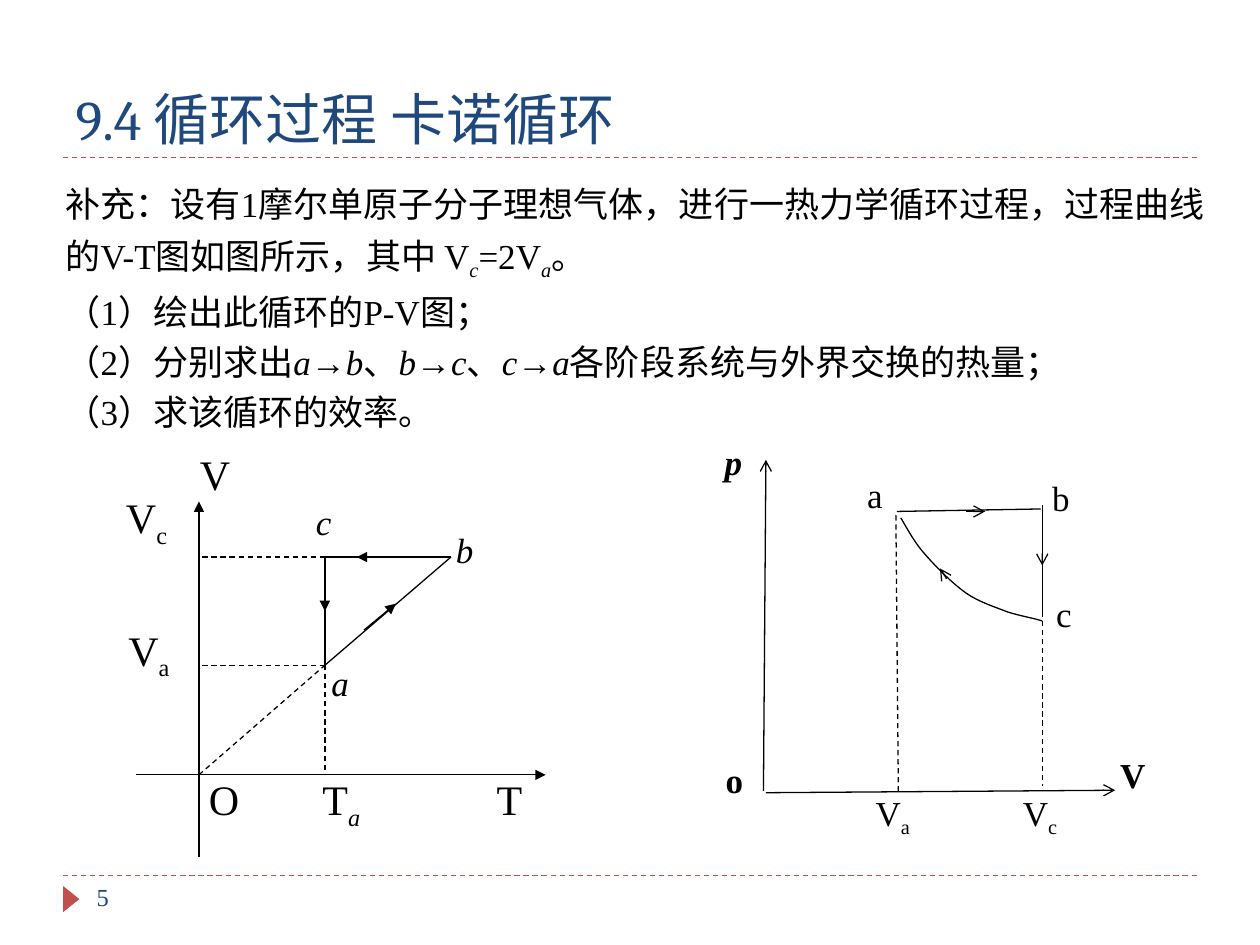
"""Build the slide on a thermodynamic cycle with its V-T and p-V diagrams."""
from typing import NamedTuple, Sequence

from lxml import etree
from pptx import Presentation
from pptx import util as u
from pptx.dml import color
from pptx.enum import dml, shapes, text
from pptx.oxml import ns

COLORS = {"ink": "000000", "accent": "C0504D", "heading": "1F497D"}
SERIF = "Times New Roman"
INSET = (0.25, 0.13)


class Span(NamedTuple):
    words: str
    italic: bool = False
    sub: bool = False


class Stroke(NamedTuple):
    start: tuple[float, float]
    end: tuple[float, float]
    arrow: str = ""
    dashed: bool = False
    tint: str = "ink"


class Label(NamedTuple):
    spans: Sequence[Span]
    left: float
    top: float
    width: float
    height: float
    bold: bool = False
    size: int = 20


def rgb(name: str) -> color.RGBColor:
    return color.RGBColor.from_string(COLORS[name])


def var(symbol: str, index: str = "", slanted: bool = False) -> list[Span]:
    return [Span(symbol), Span(index, slanted, True)] if index else [Span(symbol, slanted)]


def write(frame, lines, *, size=20, font=SERIF, tint="ink", bold=False, spacing=None, tabs=()):
    """Fill a text frame with one paragraph per list of spans."""
    for index, spans in enumerate(lines):
        paragraph = frame.paragraphs[0] if index == 0 else frame.add_paragraph()
        if tabs:
            stops = etree.SubElement(paragraph._p.get_or_add_pPr(), ns.qn("a:tabLst"))
            for stop in tabs:
                etree.SubElement(stops, ns.qn("a:tab"), pos=str(u.Cm(stop)), algn="l")
        paragraph.alignment = text.PP_ALIGN.LEFT
        if spacing:
            paragraph.line_spacing = spacing
        for span in spans:
            run = paragraph.add_run()
            run.text = span.words
            run.font.size = u.Pt(size)
            run.font.name = font
            run.font.bold = bold
            run.font.italic = span.italic
            run.font.color.rgb = rgb(tint)
            if span.sub:
                run.font._element.set("baseline", "-25000")


def text_box(slide, place: Sequence[float], lines, *, inset=INSET, **style):
    """Add a wrapped text box at a place given in centimetres."""
    frame = slide.shapes.add_textbox(*map(u.Cm, place)).text_frame
    frame.word_wrap = True
    frame.margin_left = frame.margin_right = u.Cm(inset[0])
    frame.margin_top = frame.margin_bottom = u.Cm(inset[1])
    write(frame, lines, **style)
    return frame


def draw_stroke(slide, stroke: Stroke) -> None:
    """Draw a straight line, dashed or with an arrowhead where asked."""
    connector = slide.shapes.add_connector(
        shapes.MSO_CONNECTOR.STRAIGHT, *map(u.Cm, stroke.start + stroke.end))
    connector.line.color.rgb = rgb(stroke.tint)
    connector.line.width = u.Pt(0.75)
    if stroke.dashed:
        connector.line.dash_style = dml.MSO_LINE.DASH
    properties = connector._element.spPr
    if stroke.arrow:
        etree.SubElement(properties.find(ns.qn("a:ln")), ns.qn("a:tailEnd"), type=stroke.arrow)
    etree.SubElement(properties, ns.qn("a:effectLst"))


def draw_labels(slide, labels: Sequence[Label], inset: tuple[float, float]) -> None:
    for label in labels:
        text_box(slide, label[1:5], [label.spans], inset=inset, size=label.size, bold=label.bold)


def draw_curve(slide, points: Sequence[tuple[float, float]], steps: int = 8) -> None:
    """Draw chained cubic curves as one open outline."""
    outline = []
    for first in range(0, len(points) - 1, 3):
        for step in range(1, steps + 1):
            t = step / steps
            weights = ((1 - t) ** 3, 3 * t * (1 - t) ** 2, 3 * t * t * (1 - t), t ** 3)
            outline.append(tuple(
                u.Cm(sum(w * p[axis] for w, p in zip(weights, points[first:first + 4])))
                for axis in (0, 1)))
    builder = slide.shapes.build_freeform(*map(u.Cm, points[0]))
    builder.add_line_segments(outline, close=False)
    curve = builder.convert_to_shape()
    curve.shadow.inherit = False
    curve.fill.background()
    curve.line.color.rgb = rgb("ink")
    curve.line.width = u.Pt(0.75)


def draw_frame(slide) -> None:
    """Place the heading, the two rules and the page mark."""
    for y in (17.65, 3.18):
        draw_stroke(slide, Stroke((1.27, y), (24.13, y), dashed=True, tint="accent"))
    marker = slide.shapes.add_shape(
        shapes.MSO_SHAPE.ISOSCELES_TRIANGLE, *map(u.Cm, (1.17, 17.96, 0.53, 0.33)))
    marker.rotation = 90
    marker.shadow.inherit = False
    marker.fill.solid()
    marker.fill.fore_color.rgb = rgb("accent")
    marker.line.fill.background()
    title = slide.shapes.title
    title.left, title.top, title.width, title.height = map(u.Cm, (1.27, 0.64, 22.86, 2.54))
    title.text_frame.vertical_anchor = text.MSO_ANCHOR.BOTTOM
    write(title.text_frame, [[Span("9.4 循环过程 卡诺循环")]],
          size=32, font="Cambria", tint="heading")
    text_box(slide, (1.7, 17.65, 5.51, 1.02), [[Span("5")]], size=14, tint="heading")


def draw_problem(slide) -> None:
    stages = []
    for start, end, after in (("a", "b", "、"), ("b", "c", "、"),
                              ("c", "a", "各阶段系统与外界交换的热量；")):
        stages += [Span(start, True), Span("→"), Span(end, True), Span(after)]
    intro = "补充：设有1摩尔单原子分子理想气体，进行一热力学循环过程，过程曲线的V-T图如图所示，其中 V"
    lines = [
        [Span(intro), Span("c", True, True), Span("=2V"), Span("a", True, True), Span("。")],
        [Span("（1）绘出此循环的P-V图；")],
        [Span("（2）分别求出"), *stages],
        [Span("（3）求该循环的效率。")],
    ]
    frame = text_box(slide, (1.07, 3.38, 23.93, 5.33), lines, spacing=1.2)
    frame.auto_size = text.MSO_AUTO_SIZE.SHAPE_TO_FIT_TEXT


def draw_vt_diagram(slide) -> None:
    axis_x, t_a, t_b = 4.01, 6.55, 9.09
    axis_y, v_a, v_c = 15.62, 13.41, 11.23
    origin, a, b, c = (axis_x, axis_y), (t_a, v_a), (t_b, v_c), (t_a, v_c)
    for stroke in (
        Stroke((2.74, axis_y), (11, axis_y), "triangle"),
        Stroke((axis_x, 17.27), (axis_x, 10.11), "triangle"),
        Stroke(origin, a, dashed=True),
        Stroke(a, b), Stroke(b, c), Stroke(c, a),
        Stroke(a, (axis_x, v_a), dashed=True),
        Stroke(c, (axis_x, v_c), dashed=True),
        Stroke(a, (t_a, axis_y), dashed=True),
        Stroke((t_a, 11.76), (t_a, 12.32), "triangle"),
        Stroke((7.34, 12.7), (7.98, 12.17), "triangle"),
        Stroke((8.46, v_c), (7.19, v_c), "triangle"),
    ):
        draw_stroke(slide, stroke)
    draw_labels(slide, (
        Label(var("V", "c"), 2.29, 9.78, 2.54, 2.21, size=24),
        Label(var("V", "a"), 2.34, 12.45, 2.54, 1.65, size=24),
        Label(var("V"), 3.78, 8.92, 2.54, 1.8, size=24),
        Label(var("c", slanted=True), 6.12, 9.96, 1.9, 1.65),
        Label(var("b", slanted=True), 8.94, 10.52, 2.54, 1.4),
        Label(var("a", slanted=True), 6.43, 13.2, 2.54, 1.4),
    ), INSET)
    text_box(slide, (3.96, 15.47, 8.46, 2.18),
             [[Span("O\tT"), Span("a", True, True), Span("\tT")]], size=24, tabs=(2.29, 5.8))


def draw_pv_diagram(slide) -> None:
    v_c = 21.01
    for stroke in (
        Stroke((15.39, 15.95), (15.44, 9.27), "arrow"),
        Stroke((15.44, 15.98), (22.48, 15.93), "arrow"),
        Stroke((18.08, 10.31), (20.98, 10.26)),
        Stroke((18.06, 10.39), (18.11, 15.98), dashed=True),
        Stroke((v_c, 12.34), (v_c, 15.85), dashed=True),
        Stroke((v_c, 12.34), (v_c, 10.19)),
        Stroke((v_c, 11.25), (v_c, 11.4), "arrow"),
        Stroke((19.48, 10.31), (19.86, 10.31), "arrow"),
        Stroke((19.08, 11.66), (18.95, 11.46), "arrow"),
    ):
        draw_stroke(slide, stroke)
    draw_curve(slide, (
        (18.16, 10.44), (18.31, 10.69), (18.44, 10.95), (18.67, 11.2),
        (18.9, 11.46), (19.2, 11.76), (19.48, 11.96),
        (19.74, 12.14), (20.07, 12.24), (20.32, 12.34),
        (20.57, 12.42), (20.88, 12.47), (v_c, 12.52)))
    draw_labels(slide, (
        Label(var("p", slanted=True), 14.61, 8.89, 0.99, 1.27, bold=True),
        Label(var("o"), 14.63, 15.29, 0.99, 0.99, bold=True),
        Label(var("V"), 22.58, 15.19, 0.74, 0.94, bold=True),
        Label(var("a"), 17.48, 9.55, 0.99, 0.97),
        Label(var("b"), 21.21, 9.6, 0.99, 0.97),
        Label(var("c"), 21.29, 11.94, 0.99, 0.97),
        Label(var("V", "a"), 17.65, 15.95, 0.99, 0.99),
        Label(var("V", "c"), 20.62, 15.95, 0.99, 0.97),
    ), (0, 0))


def main() -> None:
    deck = Presentation()
    deck.slide_width, deck.slide_height = u.Cm(25.4), u.Cm(19.05)
    slide = deck.slides.add_slide(deck.slide_layouts[5])
    for draw in (draw_frame, draw_problem, draw_vt_diagram, draw_pv_diagram):
        draw(slide)
    deck.save("out.pptx")


if __name__ == "__main__":
    main()
